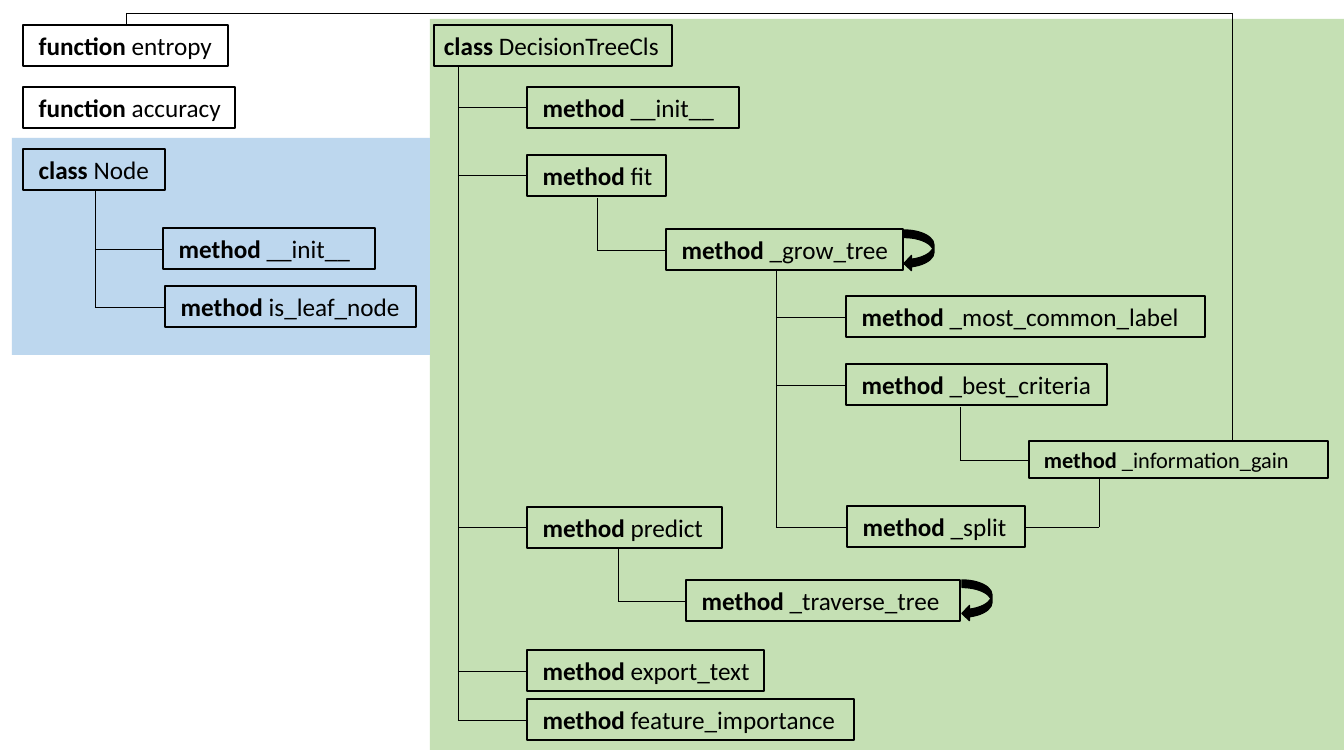
from pptx import Presentation, util as u
from pptx.dml.color import RGBColor
from pptx.enum import shapes, text
from pptx.oxml.ns import qn
from lxml import etree

SCALE = 914400 / 100.8
HUES = {"ink": "000000", "green": "C5E0B4", "blue": "BDD7EE"}


def px(n):
    """Turn pixels into EMU."""
    return u.Emu(round(n * SCALE))


def hue(name):
    """Look up a colour by name."""
    return RGBColor.from_string(HUES[name])


def mid(box):
    """Give the height of a box's centre line in pixels."""
    return round((box.top + box.height / 2) / SCALE)


class Chart:
    """Style and current slide of the call diagram."""

    font = {"name": "Calibri", "color": "ink"}
    frame = {"word_wrap": True, "auto_size": text.MSO_AUTO_SIZE.SHAPE_TO_FIT_TEXT,
             "vertical_anchor": text.MSO_ANCHOR.TOP}

    def __init__(self, slide):
        """Keep the slide to draw on."""
        self.shapes = slide.shapes

    def shape(self, x, y, w, h, fill=None, line=None, kind="RECTANGLE"):
        """Add a preset shape."""
        item = self.shapes.add_shape(shapes.MSO_SHAPE[kind], *map(px, (x, y, w, h)))
        item.shadow.inherit = False
        if fill:
            item.fill.solid()
            item.fill.fore_color.rgb = hue(fill)
        else:
            item.fill.background()
        if line:
            item.line.color.rgb = hue(line)
            item.line.width = u.Pt(1)
        else:
            item.line.fill.background()
        return item

    def box(self, x, y, w, kind, name, h=41, size=18, lead=" "):
        """Add an outlined box with a bold kind and a plain name."""
        item = self.shape(x, y, w, h, line="ink")
        for key, val in self.frame.items():
            setattr(item.text_frame, key, val)
        par = item.text_frame.paragraphs[0]
        par.alignment = text.PP_ALIGN.LEFT
        for part, bold in ((lead, False), (kind + " ", True), (name, False)):
            if part:
                run = par.add_run()
                run.text = part
                style = {"name": self.font["name"], "size": u.Pt(size), "bold": bold}
                for key, val in style.items():
                    setattr(run.font, key, val)
                run.font.color.rgb = hue(self.font["color"])
        return item

    def path_line(self, *dots):
        """Join points with thin straight lines."""
        for a, b in zip(dots, dots[1:]):
            line = self.shapes.add_connector(shapes.MSO_CONNECTOR.STRAIGHT,
                                             *map(px, (*a, *b)))
            line.line.color.rgb = hue("ink")
            line.line.width = u.Pt(0.5)
            etree.SubElement(line._element.spPr, qn("a:effectLst"))

    def tree(self, x, top, *kids):
        """Hang boxes from a stem, one branch each."""
        self.path_line((x, top), (x, mid(kids[-1])))
        for kid in kids:
            self.path_line((x, mid(kid)), (round(kid.left / SCALE), mid(kid)))

    def loop(self, x, y):
        """Add a curved arrow for a recursive call."""
        self.shape(x, y, 30, 41, "ink", "ink", "CURVED_LEFT_ARROW")


deck = Presentation()
deck.slide_width, deck.slide_height = px(1344), px(756)
art = Chart(deck.slides.add_slide(deck.slide_layouts[6]))

art.shape(430, 19, 914, 731, "green")
art.shape(12, 138, 418, 217, "blue")

art.box(23, 25, 205, "function", "entropy")
art.box(23, 87, 212, "function", "accuracy")
art.box(23, 149, 142, "class", "Node")
art.box(434, 25, 238, "class", "DecisionTreeCls", lead="")

METHODS = [
    (163, 228, 212, "__init__"),
    (165, 286, 251, "is_leaf_node"),
    (527, 87, 212, "__init__"),
    (527, 155, 139, "fit"),
    (527, 507, 195, "predict"),
    (527, 650, 237, "export_text"),
    (527, 699, 327, "feature_importance"),
    (666, 229, 237, "_grow_tree"),
    (846, 296, 359, "_most_common_label"),
    (846, 364, 261, "_best_criteria"),
    (847, 506, 178, "_split"),
    (686, 580, 274, "_traverse_tree"),
]
(start, leaf, init, fit, predict, export, feature,
 grow, label, best, split, walk) = [
    art.box(x, y, w, "method", name) for x, y, w, name in METHODS]
gain = art.box(1029, 441, 299, "method", "_information_gain", h=37, size=16)

art.tree(95, 190, start, leaf)
art.tree(458, 66, init, fit, predict, export, feature)
art.tree(597, 198, grow)
art.tree(776, 269, label, best, split)
art.tree(960, 407, gain)
art.tree(618, 548, walk)
art.path_line((1025, mid(split)), (1099, mid(split)), (1099, 478))
art.path_line((1232, 441), (1232, 13), (126, 13), (126, 25))

art.loop(904, 230)
art.loop(962, 580)

deck.save("out.pptx")
